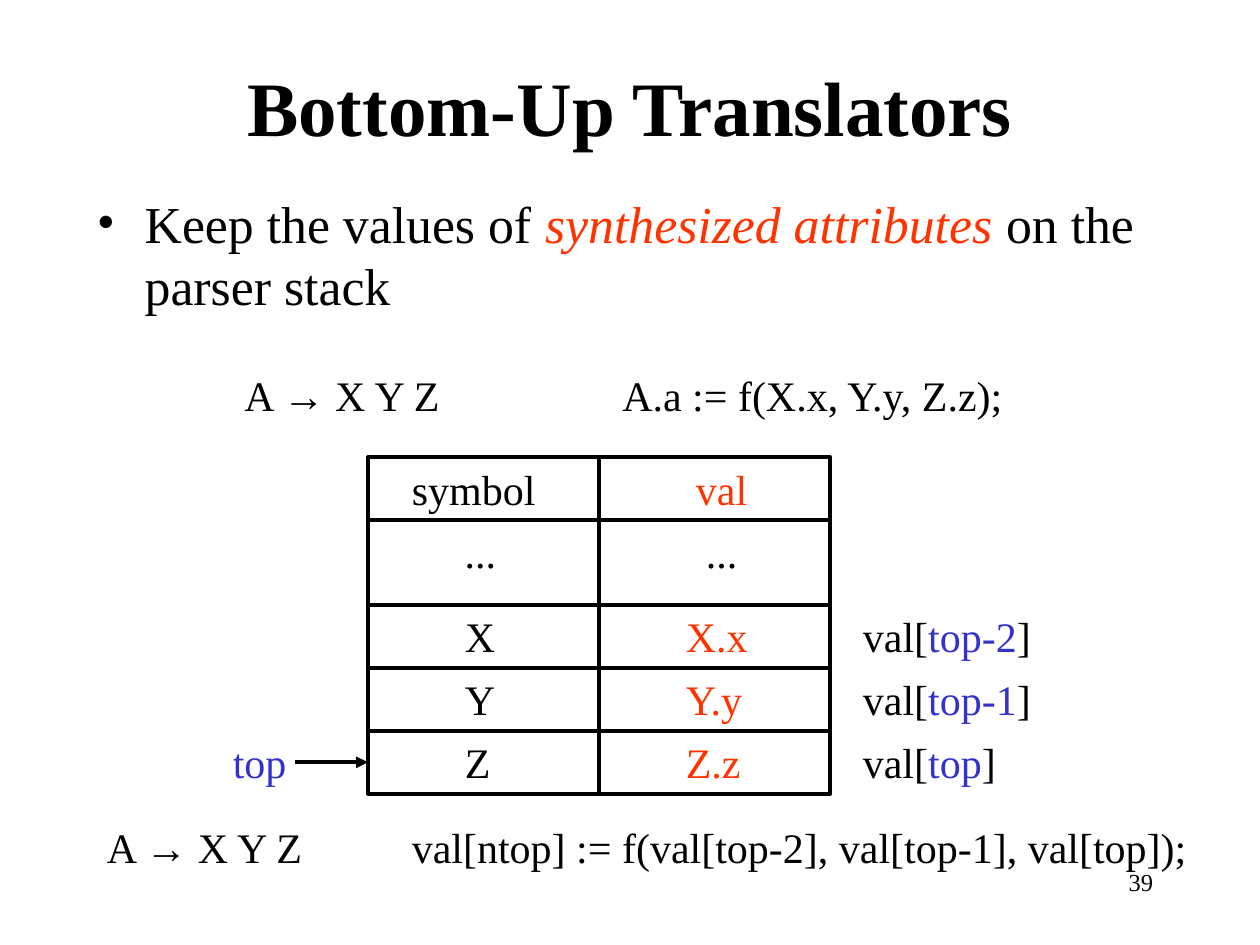
from itertools import accumulate

from lxml import etree
from pptx import Presentation, util as u
from pptx.dml.color import RGBColor
from pptx.enum import shapes, text
from pptx.oxml.ns import qn

BLACK, RED, BLUE = "000000", "FF3300", "3333CC"
SERIF, SANS = "Times New Roman", "Arial"
LINE_HEIGHT = 0.5


def color(value):
    return RGBColor.from_string(value)


def add_element(parent, tag, **attributes):
    return etree.SubElement(parent, qn(tag), attributes)


def add_text(page, box, spans, wrap=False, anchor=text.MSO_ANCHOR.TOP,
             align=text.PP_ALIGN.LEFT, tab=None, bullet=None, **base):
    """Add one paragraph of (words, format) spans; box is left, top, width, height."""
    frame = page.shapes.add_textbox(*map(u.Inches, box)).text_frame
    for name, value in dict(word_wrap=wrap, auto_size=text.MSO_AUTO_SIZE.NONE,
                            vertical_anchor=anchor).items():
        setattr(frame, name, value)
    para = frame.paragraphs[0]
    para.alignment = align
    properties = para._p.get_or_add_pPr()
    if bullet:
        indent = u.Inches(0.38)
        properties.set("marL", str(indent))
        properties.set("indent", str(-indent))
        add_element(properties, "a:buFont", typeface=SERIF)
        add_element(properties, "a:buChar", char=bullet)
    if tab:
        stops = add_element(properties, "a:tabLst")
        add_element(stops, "a:tab", pos=str(u.Inches(tab)), algn="l")
    for words, changes in spans:
        span = para.add_run()
        span.text = words
        style = {"size": 24, "name": SERIF, "color": BLACK, **base, **changes}
        span.font.color.rgb = color(style.pop("color"))
        style["size"] = u.Pt(style["size"])
        for name, value in style.items():
            setattr(span.font, name, value)


def add_line(page, start, end, arrow=False):
    line = page.shapes.add_connector(
        shapes.MSO_CONNECTOR.STRAIGHT, *map(u.Inches, (*start, *end)))
    line.line.color.rgb = color(BLACK)
    line.line.width = u.Pt(2.25)
    if arrow:
        add_element(line.line._get_or_add_ln(), "a:tailEnd", type="triangle")
    add_element(line._element.spPr, "a:effectLst")


def add_heading(page, box):
    add_text(page, box, [("Bottom-Up Translators", {})], wrap=True, size=44, bold=True,
             anchor=text.MSO_ANCHOR.MIDDLE, align=text.PP_ALIGN.CENTER)


def add_point(page, box):
    spans = [("Keep the values of ", {}),
             ("synthesized attributes", {"color": RED, "italic": True}),
             (" on the parser stack", {})]
    add_text(page, box, spans, wrap=True, bullet="•", size=29.6)


def add_rule(page, box, action, tab):
    """Add a grammar production with its semantic action at the tab stop."""
    spans = [("A ", {}), ("→", {"name": SANS}), (f" X Y Z\t{action}", {})]
    add_text(page, box, spans, wrap=True, tab=tab)


def add_label(page, left, top, width, spans):
    """Add a one-line label with a little room to spare on the right."""
    add_text(page, (left, top, width + 0.05, LINE_HEIGHT), spans, wrap=True)


def add_stack(page, box):
    left, top, width, height = box
    middle, right, bottom = left + width / 2, left + width, top + height
    tall = height - 4 * LINE_HEIGHT
    edges = list(accumulate([LINE_HEIGHT, tall, LINE_HEIGHT, LINE_HEIGHT], initial=top))

    frame = page.shapes.add_shape(shapes.MSO_SHAPE.RECTANGLE, *map(u.Inches, box))
    frame.shadow.inherit = False
    frame.fill.background()
    frame.line.color.rgb = color(BLACK)
    frame.line.width = u.Pt(2.25)
    for edge in edges[1:]:
        add_line(page, (left, edge), (right, edge))
    add_line(page, (middle, top), (middle, bottom))

    # Each cell: words, offset from its column's left edge, label width, colour
    rows = [
        [("symbol", 0.25, 1.18, BLACK), ("val", 0.67, 0.6, RED)],
        [("...", 0.67, 0.45, BLACK), ("...", 0.75, 0.45, BLACK)],
        [("X", 0.67, 0.44, BLACK), ("X.x", 0.59, 0.69, RED)],
        [("Y", 0.67, 0.44, BLACK), ("Y.y", 0.59, 0.69, RED)],
        [("Z", 0.67, 0.4, BLACK), ("Z.z", 0.59, 0.63, RED)],
    ]
    for edge, row in zip(edges, rows):
        for column, (words, offset, size, shade) in zip((left, middle), row):
            add_label(page, column + offset, edge, size, [(words, {"color": shade})])

    indexes = [("top-2", 1.53), ("top-1", 1.53), ("top", 1.25)]
    for edge, (index, size) in zip(edges[2:], indexes):
        add_label(page, right + 0.16, edge, size,
                  [("val[", {}), (index, {"color": BLUE}), ("]", {})])

    add_label(page, left - 1.17, edges[-1], 0.62, [("top", {"color": BLUE})])
    pointer = edges[-1] + LINE_HEIGHT / 2
    add_line(page, (left - 0.58, pointer), (left, pointer), arrow=True)


def add_page_number(page, box):
    add_text(page, box, [("39", {})], wrap=True, size=14, align=text.PP_ALIGN.RIGHT)


def main():
    deck = Presentation()
    deck.slide_width, deck.slide_height = u.Inches(10), u.Inches(7.5)
    page = deck.slides.add_slide(deck.slide_layouts[6])
    add_heading(page, (0.75, 0.21, 8.5, 1.25))
    add_point(page, (0.67, 1.47, 8.5, 1.17))
    add_rule(page, (1.84, 2.88, 6.35, LINE_HEIGHT), "A.a := f(X.x, Y.y, Z.z);", 3)
    add_stack(page, (2.92, 3.63, 3.67, 2.67))
    add_rule(page, (0.75, 6.47, 8.85, LINE_HEIGHT),
             "val[ntop] := f(val[top-2], val[top-1], val[top]);", 2.42)
    add_page_number(page, (7.17, 6.83, 2.08, LINE_HEIGHT))
    deck.save("out.pptx")


if __name__ == "__main__":
    main()
